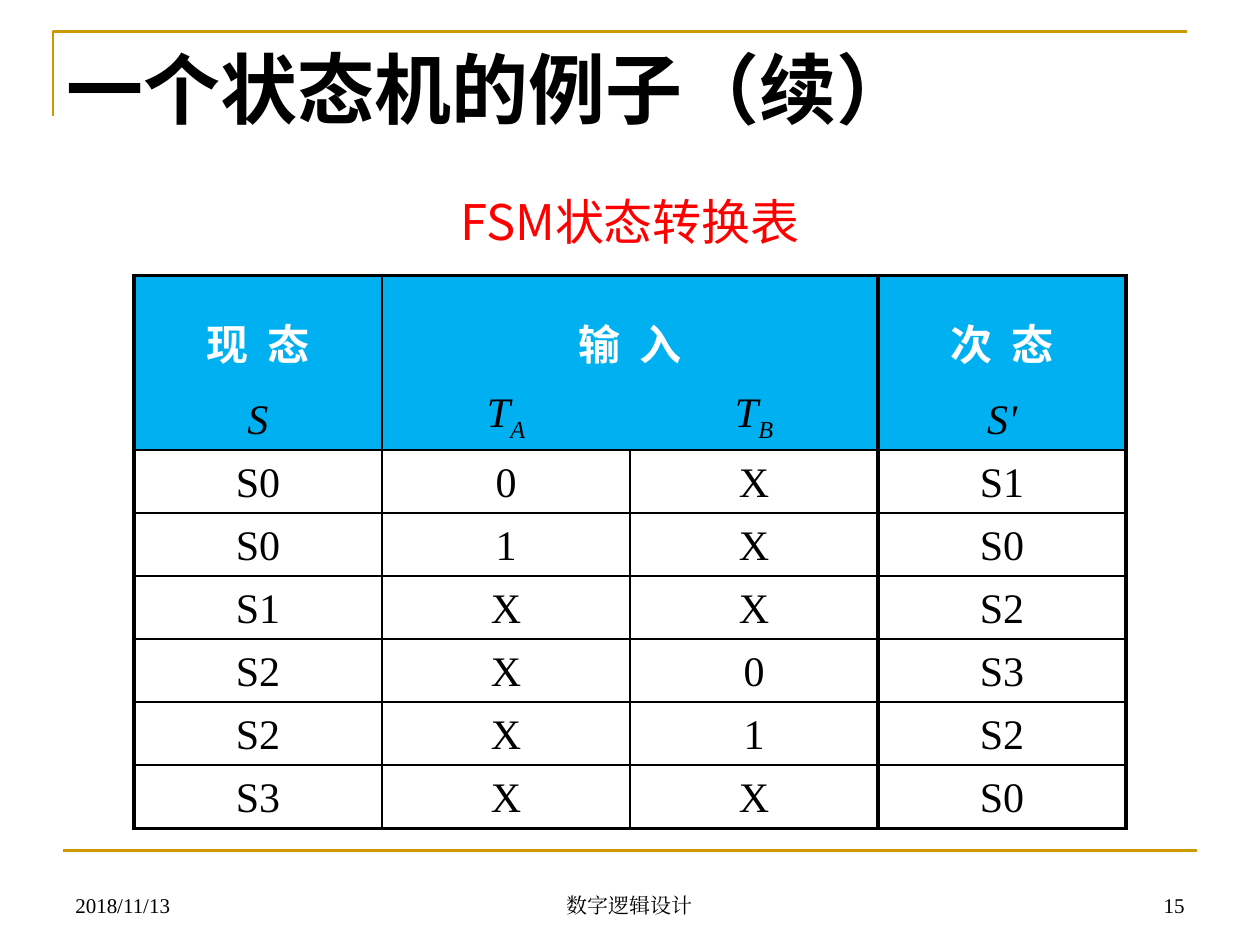
import lxml.etree
import pptx
import pptx.dml.color
import pptx.enum.shapes
import pptx.enum.text
import pptx.oxml.ns
import pptx.util

Cm = pptx.util.Cm
Pt = pptx.util.Pt
Align = pptx.enum.text.PP_ALIGN
Anchor = pptx.enum.text.MSO_ANCHOR
qn = pptx.oxml.ns.qn

COLORS = {"ink": "000000", "gold": "CC9900", "red": "FF0000",
          "head": "00B0F0", "white": "FFFFFF"}
SANS = "Noto Sans CJK SC"
SERIF = "Times New Roman"
ROWS = [
    ("S0", "0", "X", "S1"),
    ("S0", "1", "X", "S0"),
    ("S1", "X", "X", "S2"),
    ("S2", "X", "0", "S3"),
    ("S2", "X", "1", "S2"),
    ("S3", "X", "X", "S0"),
]
HEADS = [("现  态", "输  入", "", "次  态"), ("S", "TA", "TB", "S'")]
EDGES = [2.25, 1, 1, 3, 2.25]
RULES = [2.25, 0, 1, 1, 1, 1, 1, 1, 2.25]


def rgb(name):
    """Return the named colour."""
    return pptx.dml.color.RGBColor.from_string(COLORS[name])


def style(para, size, face, color="ink", align=Align.LEFT, bold=False, italic=False):
    """Set the alignment and font of a paragraph."""
    para.alignment = align
    font = para.font
    font.size, font.name = Pt(size), face
    font.bold, font.italic = bold, italic
    font.color.rgb = rgb(color)
    props = para._p.pPr.find(qn("a:defRPr"))
    lxml.etree.SubElement(props, qn("a:ea")).set("typeface", face)


def place(shape, box):
    """Move a shape to a box given in centimetres."""
    shape.left, shape.top, shape.width, shape.height = map(Cm, box)


def label(slide, box, text, anchor, **look):
    """Add a wrapped text box with one styled paragraph."""
    shape = slide.shapes.add_textbox(*map(Cm, box))
    frame = shape.text_frame
    frame.word_wrap = True
    frame.vertical_anchor = anchor
    frame.text = text
    style(frame.paragraphs[0], **look)


def frame(slide, box):
    """Draw the gold corner above and the gold rule below."""
    x, y, w, h = box
    corner = slide.shapes.build_freeform(Cm(x), Cm(y + 1.7))
    corner.add_line_segments([(Cm(x), Cm(y)), (Cm(x + w), Cm(y))], close=False)
    path = corner.convert_to_shape()
    path.shadow.inherit = False
    path.fill.background()
    rule = slide.shapes.add_connector(
        pptx.enum.shapes.MSO_CONNECTOR.STRAIGHT,
        Cm(x + 0.2), Cm(y + h), Cm(x + 0.2 + w), Cm(y + h))
    lxml.etree.SubElement(rule._element.spPr, qn("a:effectLst"))
    for shape in (path, rule):
        shape.line.color.rgb = rgb("gold")
        shape.line.width = Pt(1.5)


def footer(slide, box):
    """Place the date, course and page number along the foot."""
    x, y, w, h = box
    parts = [("2018/11/13", 0, 5.92, Align.LEFT),
             ("数字逻辑设计", (w - 8.05) / 2, 8.05, Align.CENTER),
             ("15", w - 5.92, 5.92, Align.RIGHT)]
    for text, dx, wide, align in parts:
        label(slide, (x + dx, y, wide, h), text, Anchor.BOTTOM,
              size=12, face=SERIF, align=align)


def title(slide, box):
    """Fill and move the title placeholder."""
    shape = slide.shapes.title
    place(shape, box)
    body = shape.text_frame
    body.text = "一个状态机的例子（续）"
    body.auto_size = pptx.enum.text.MSO_AUTO_SIZE.NONE
    body.vertical_anchor = Anchor.MIDDLE
    style(body.paragraphs[0], 44, SANS, bold=True)


def border(cell, side, width):
    """Draw one side of a cell, or clear it when the width is zero."""
    props = cell._tc.get_or_add_tcPr()
    line = lxml.etree.SubElement(props, qn("a:ln" + side))
    line.set("w", str(Pt(width)))
    if not width:
        lxml.etree.SubElement(line, qn("a:noFill"))
        return
    fill = lxml.etree.SubElement(line, qn("a:solidFill"))
    lxml.etree.SubElement(fill, qn("a:srgbClr")).set("val", COLORS["ink"])


def write(cell, text, row):
    """Put text in a cell, with a subscript after T."""
    para = cell.text_frame.paragraphs[0]
    top = row == 0
    style(para, 24, SANS if top else SERIF, "white" if top else "ink",
          Align.CENTER, bold=top, italic=row == 1)
    parts = text if text.startswith("T") else [text]
    for i, part in enumerate(parts):
        run = para.add_run()
        run.text = part
        if i:
            run._r.get_or_add_rPr().set("baseline", "-25000")


def table(slide, box):
    """Build the state transition table."""
    data = HEADS + ROWS
    grid = slide.shapes.add_table(len(data), 4, *map(Cm, box)).table
    grid.first_row = grid.horz_banding = False
    for col in grid.columns:
        col.width = Cm(box[2] / 4)
    for i, row in enumerate(grid.rows):
        row.height = Cm([2.1, 1.42][i] if i < 2 else 1.27)
    grid.cell(0, 1).merge(grid.cell(0, 2))
    for r, words in enumerate(data):
        for c, text in enumerate(words):
            cell = grid.cell(r, c)
            cell.vertical_anchor = Anchor.BOTTOM
            head = r < len(HEADS)
            border(cell, "L", 0 if head and c == 2 else EDGES[c])
            border(cell, "R", 0 if head and c == 1 else EDGES[c + 1])
            border(cell, "T", RULES[r])
            border(cell, "B", RULES[r + 1])
            cell.fill.solid()
            cell.fill.fore_color.rgb = rgb("head" if head else "white")
            if text:
                write(cell, text, r)


def main():
    """Build and save the slide."""
    deck = pptx.Presentation()
    deck.slide_width, deck.slide_height = Cm(25.4), Cm(19.05)
    slide = deck.slides.add_slide(deck.slide_layouts[5])
    frame(slide, (1.07, 0.64, 22.86, 16.51))
    footer(slide, (1.27, 17.35, 22.86, 1.27))
    title(slide, (1.09, 0.71, 19.61, 2.11))
    label(slide, (6.3, 3.73, 12.8, 1.45), "FSM状态转换表", Anchor.TOP,
          size=28, face=SANS, color="red", align=Align.CENTER)
    table(slide, (2.7, 5.55, 20, 11.14))
    deck.save("out.pptx")


if __name__ == "__main__":
    main()
